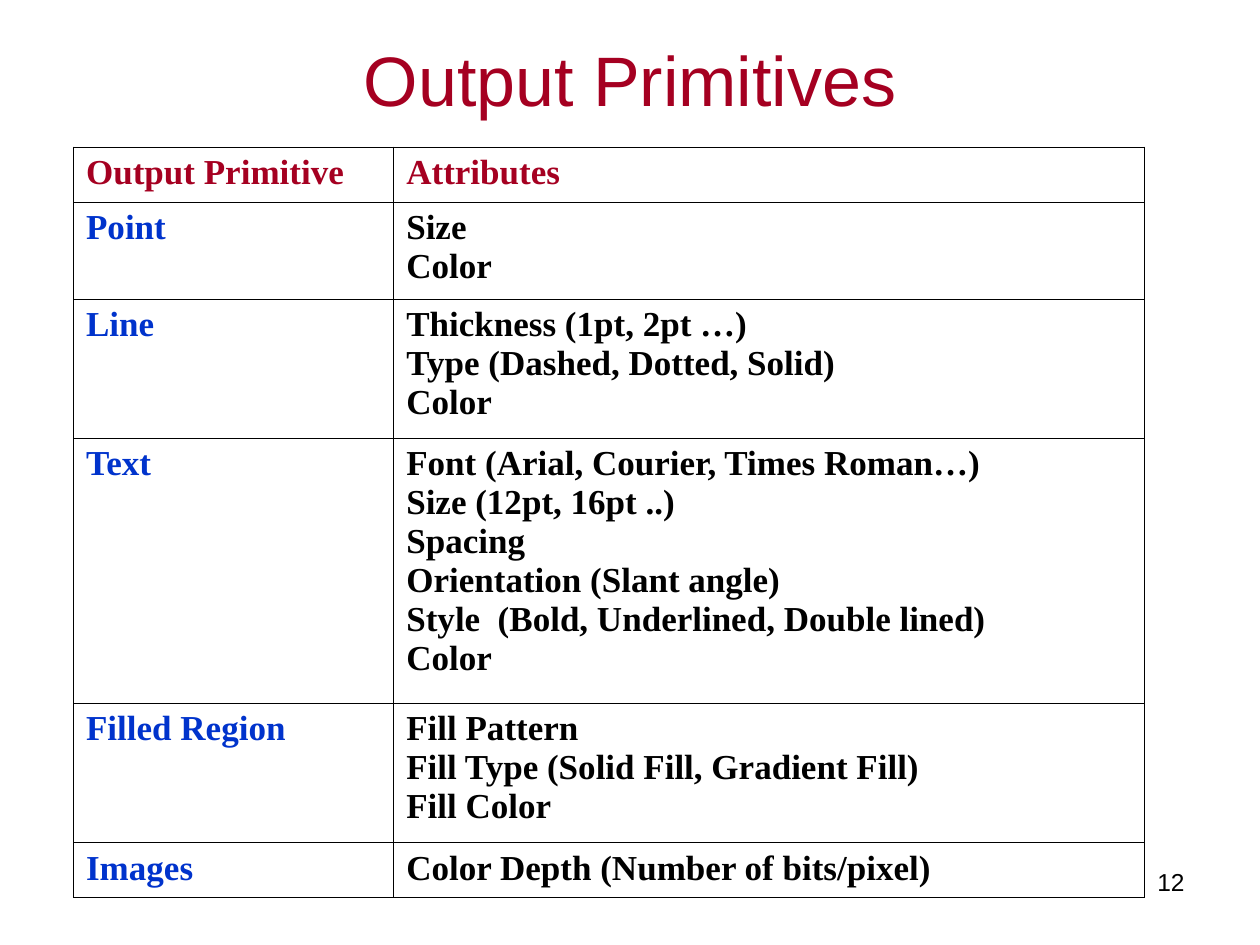
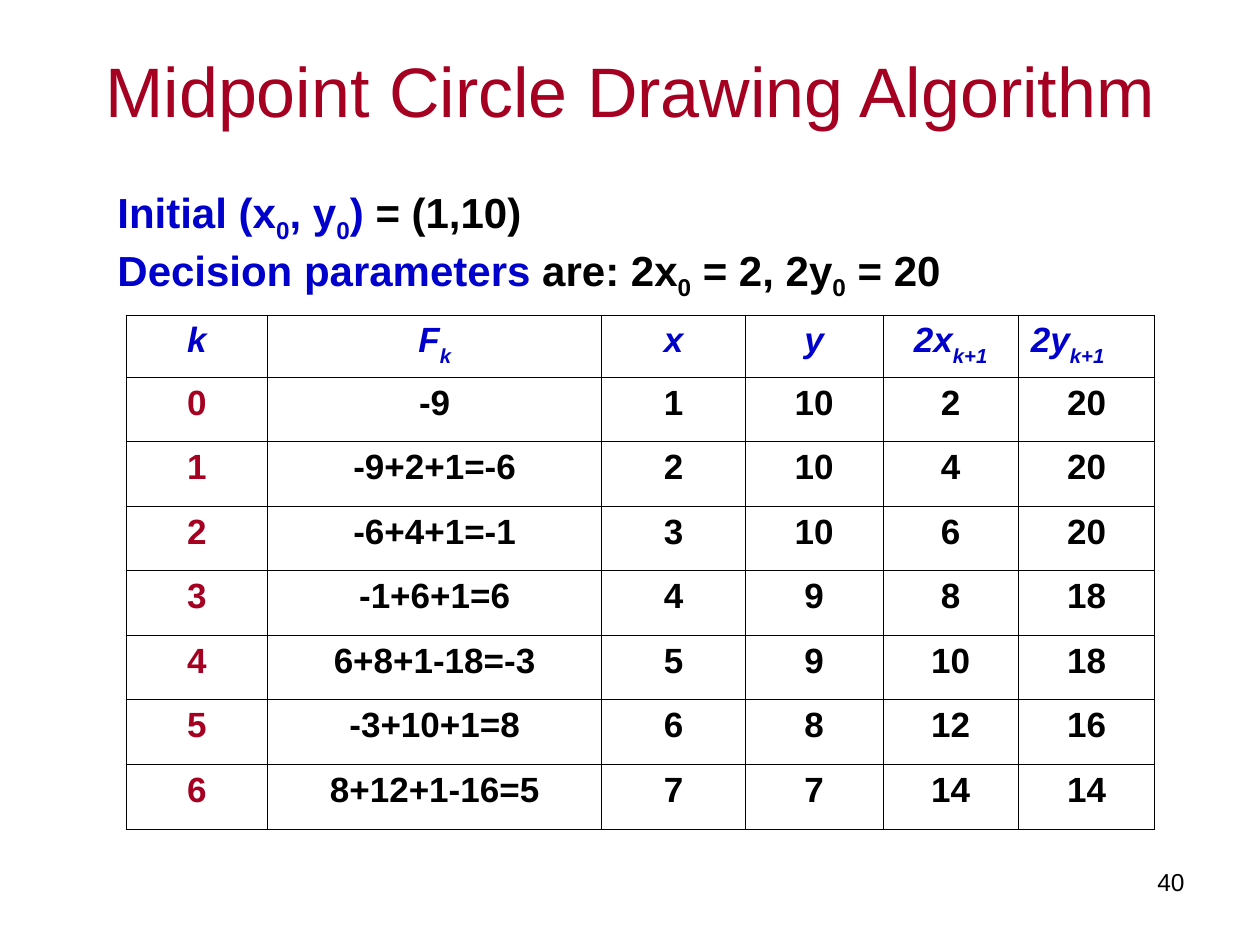
"""Build two computer graphics slides with titles, page numbers and tables."""
import dataclasses
import typing

import lxml.etree
import pptx
import pptx.dml.color
import pptx.enum.text
import pptx.oxml.ns
import pptx.util

ALIGN = pptx.enum.text.PP_ALIGN
ANCHOR = pptx.enum.text.MSO_ANCHOR


@dataclasses.dataclass(frozen=True)
class Theme:
    """Colours, fonts and type sizes shared by the slides."""
    crimson: str = "A50021"
    royal: str = "0033CC"
    blue: str = "0000CC"
    black: str = "000000"
    sans: str = "Arial"
    serif: str = "Times New Roman"
    title_size: int = 40
    intro_size: int = 24
    table_size: int = 20
    page_size: int = 14
    rule_width: float = 0.45


@dataclasses.dataclass(frozen=True)
class Box:
    """A place on the grid, in columns and rows."""
    left: float
    top: float
    width: float
    height: float


@dataclasses.dataclass(frozen=True)
class Style:
    """Character and paragraph format."""
    color: str
    size: int
    font: str
    bold: bool = False
    italic: bool = False
    align: ALIGN = ALIGN.LEFT
    hanging: float = 0


@dataclasses.dataclass(frozen=True)
class Piece:
    """A stretch of text, lowered when its drop is below zero."""
    text: str
    drop: int = 0
    color: str | None = None


Line = typing.Sequence[Piece]


@dataclasses.dataclass(frozen=True)
class Cell:
    """The lines of one table cell and their style."""
    lines: typing.Sequence[Line]
    style: Style


THEME = Theme()
GRID_COLUMNS, GRID_ROWS = 120, 90
SLIDE_WIDTH, SLIDE_HEIGHT = pptx.util.Inches(10), pptx.util.Inches(7.5)
PAGE_NUMBER_BOX = Box(86, 82, 28, 6.2)

TITLE = Style(THEME.crimson, THEME.title_size, THEME.sans, align=ALIGN.CENTER)
PAGE_NUMBER = Style(THEME.black, THEME.page_size, THEME.sans, align=ALIGN.RIGHT)
INTRO = Style(THEME.black, THEME.intro_size, THEME.sans, bold=True)
HEADING = Style(THEME.crimson, THEME.table_size, THEME.serif, bold=True)
PRIMITIVE = dataclasses.replace(HEADING, color=THEME.royal)
ATTRIBUTE = dataclasses.replace(HEADING, color=THEME.black)
VALUE = Style(THEME.black, THEME.table_size, THEME.sans, bold=True,
              align=ALIGN.CENTER, hanging=4.5)
STEP = dataclasses.replace(VALUE, color=THEME.crimson)
SYMBOL = dataclasses.replace(VALUE, color=THEME.blue, italic=True)
LAST_SYMBOL = dataclasses.replace(SYMBOL, align=ALIGN.LEFT)

PRIMITIVES = {
    "Point": ["Size", "Color"],
    "Line": ["Thickness (1pt, 2pt …)", "Type (Dashed, Dotted, Solid)", "Color"],
    "Text": ["Font (Arial, Courier, Times Roman…)", "Size (12pt, 16pt ..)", "Spacing",
             "Orientation (Slant angle)", "Style  (Bold, Underlined, Double lined)", "Color"],
    "Filled Region": ["Fill Pattern", "Fill Type (Solid Fill, Gradient Fill)", "Fill Color"],
    "Images": ["Color Depth (Number of bits/pixel)"],
}
SYMBOLS = [("k", ""), ("F", "k"), ("x", ""), ("y", ""), ("2x", "k+1"), ("2y", "k+1")]
CIRCLE_STEPS = [
    ("-9", 1, 10, 2, 20),
    ("-9+2+1=-6", 2, 10, 4, 20),
    ("-6+4+1=-1", 3, 10, 6, 20),
    ("-1+6+1=6", 4, 9, 8, 18),
    ("6+8+1-18=-3", 5, 9, 10, 18),
    ("-3+10+1=8", 6, 8, 12, 16),
    ("8+12+1-16=5", 7, 7, 14, 14),
]
INTRO_LINES = [
    [Piece("Initial (x", color=THEME.blue), Piece("0", -25, THEME.blue),
     Piece(", y", color=THEME.blue), Piece("0", -25, THEME.blue),
     Piece(")", color=THEME.blue), Piece(" = (1,10)")],
    [Piece("Decision parameters", color=THEME.blue), Piece(" are: 2x"), Piece("0", -25),
     Piece(" = 2, 2y"), Piece("0", -25), Piece(" = 20")],
]


def across(columns: float) -> int:
    """Turn grid columns into a length."""
    return pptx.util.Emu(round(SLIDE_WIDTH * columns / GRID_COLUMNS))


def down(rows: float) -> int:
    """Turn grid rows into a length."""
    return pptx.util.Emu(round(SLIDE_HEIGHT * rows / GRID_ROWS))


def place(box: Box) -> tuple[int, int, int, int]:
    """Give the left, top, width and height of a box."""
    return across(box.left), down(box.top), across(box.width), down(box.height)


def apply(target: typing.Any, values: dict[str, typing.Any]) -> None:
    """Set every attribute named in a dict of format values."""
    for name, value in values.items():
        setattr(target, name, value)


def plain(text: str) -> Line:
    """Make a line of one piece."""
    return [Piece(text)]


def write(frame: typing.Any, lines: typing.Sequence[Line], style: Style) -> None:
    """Fill a text frame with styled lines."""
    for index, line in enumerate(lines):
        paragraph = frame.add_paragraph() if index else frame.paragraphs[0]
        paragraph.alignment = style.align
        if style.hanging:
            indent = across(style.hanging)
            properties = paragraph._p.get_or_add_pPr()
            properties.set("marL", str(indent))
            properties.set("indent", str(-indent))
        for piece in line:
            run = paragraph.add_run()
            run.text = piece.text
            apply(run.font, {"name": style.font, "size": pptx.util.Pt(style.size),
                             "bold": style.bold, "italic": style.italic})
            run.font.color.rgb = pptx.dml.color.RGBColor.from_string(piece.color or style.color)
            if piece.drop:
                run._r.get_or_add_rPr().set("baseline", str(piece.drop * 1000))


def add_text(slide: typing.Any, box: Box, lines: typing.Sequence[Line], style: Style) -> None:
    """Add a wrapped text box."""
    frame = slide.shapes.add_textbox(*place(box)).text_frame
    frame.word_wrap = True
    write(frame, lines, style)


def rule_cell(cell: typing.Any) -> None:
    """Draw thin lines on the four sides of a cell."""
    qn = pptx.oxml.ns.qn
    properties = cell._tc.get_or_add_tcPr()
    for position, side in enumerate(("lnL", "lnR", "lnT", "lnB")):
        rule = lxml.etree.Element(qn(f"a:{side}"), w=str(pptx.util.Pt(THEME.rule_width)))
        fill = lxml.etree.SubElement(rule, qn("a:solidFill"))
        lxml.etree.SubElement(fill, qn("a:srgbClr"), val=THEME.black)
        properties.insert(position, rule)


def add_grid(slide: typing.Any, left: float, top: float, widths: typing.Sequence[float],
             heights: typing.Sequence[float], rows: typing.Sequence[typing.Sequence[Cell]]) -> None:
    """Add a ruled table without fills."""
    box = Box(left, top, sum(widths), sum(heights))
    table = slide.shapes.add_table(len(heights), len(widths), *place(box)).table
    apply(table, {"first_row": False, "horz_banding": False})
    for column, width in zip(table.columns, widths):
        column.width = across(width)
    for row, height, contents in zip(table.rows, heights, rows):
        row.height = down(height)
        for cell, content in zip(row.cells, contents):
            cell.fill.background()
            rule_cell(cell)
            write(cell.text_frame, content.lines, content.style)


def start_slide(deck: typing.Any, title: str, title_top: float, page: int) -> typing.Any:
    """Add a slide with its title and page number."""
    slide = deck.slides.add_slide(deck.slide_layouts[5])
    heading = slide.shapes.title
    box = place(Box(6, title_top, 108, 15))
    apply(heading, dict(zip(("left", "top", "width", "height"), box)))
    apply(heading.text_frame, {"vertical_anchor": ANCHOR.MIDDLE, "word_wrap": True,
                               "auto_size": pptx.enum.text.MSO_AUTO_SIZE.NONE})
    write(heading.text_frame, [plain(title)], TITLE)
    add_text(slide, PAGE_NUMBER_BOX, [plain(str(page))], PAGE_NUMBER)
    return slide


def build_primitives(deck: typing.Any) -> None:
    """Build the slide on output primitives and their attributes."""
    slide = start_slide(deck, "Output Primitives", 0, 12)
    rows = [[Cell([plain(text)], HEADING) for text in ("Output Primitive", "Attributes")]]
    for primitive, attributes in PRIMITIVES.items():
        rows.append([Cell([plain(primitive)], PRIMITIVE),
                     Cell([plain(text) for text in attributes], ATTRIBUTE)])
    heights = [1.25 + 4 * len(row[1].lines) for row in rows]
    add_grid(slide, 7, 14, [30.5, 71.5], heights, rows)


def build_circle(deck: typing.Any) -> None:
    """Build the slide on the midpoint circle algorithm."""
    slide = start_slide(deck, "Midpoint Circle Drawing Algorithm", 1, 40)
    add_text(slide, Box(10, 17.2, 104, 12.1), INTRO_LINES, INTRO)
    header = []
    for symbol, subscript in SYMBOLS:
        line = [Piece(symbol)] + ([Piece(subscript, -30)] if subscript else [])
        header.append(Cell([line], SYMBOL))
    header[-1] = dataclasses.replace(header[-1], style=LAST_SYMBOL)
    rows = [header]
    for step, values in enumerate(CIRCLE_STEPS):
        rows.append([Cell([plain(str(step))], STEP)]
                    + [Cell([plain(str(value))], VALUE) for value in values])
    heights = [5.9] + [6.15] * len(CIRCLE_STEPS)
    add_grid(slide, 12, 30, [13.5, 31.8, 13.7, 13.1, 12.9, 13], heights, rows)


def main() -> None:
    """Build and save the deck."""
    deck = pptx.Presentation()
    apply(deck, {"slide_width": SLIDE_WIDTH, "slide_height": SLIDE_HEIGHT})
    build_primitives(deck)
    build_circle(deck)
    deck.save("out.pptx")


if __name__ == "__main__":
    main()
